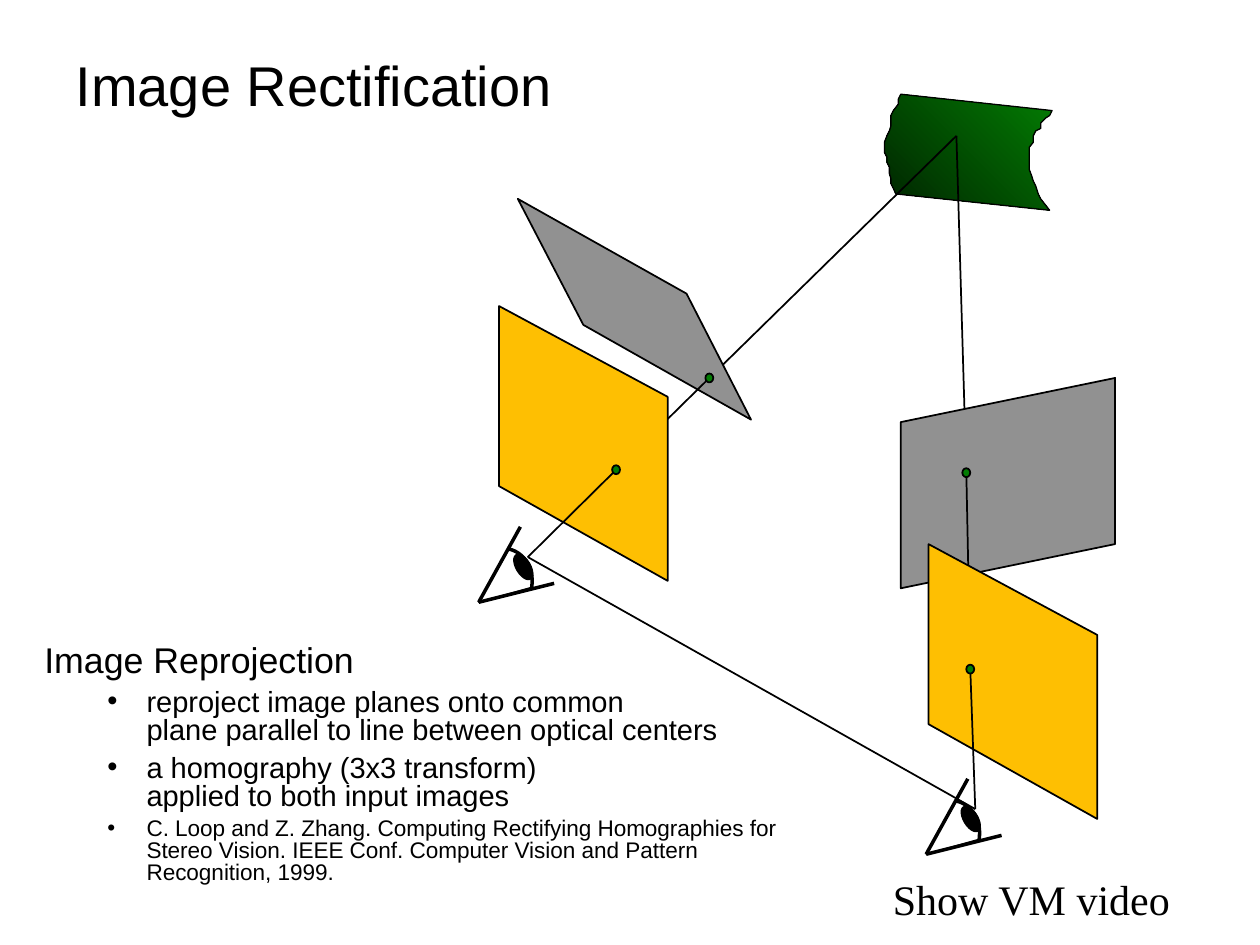
from copy import deepcopy
from lxml.etree import SubElement
from pptx import Presentation
from pptx.dml.color import RGBColor
from pptx.enum.shapes import MSO_CONNECTOR, MSO_SHAPE
from pptx.enum.text import MSO_ANCHOR, MSO_AUTO_SIZE, PP_ALIGN
from pptx.oxml.ns import qn
from pptx.util import Cm, Pt

COLORS = {"ink": "000000", "gray": "919191", "gold": "FEBF02",
          "green": "037C03", "dark": "002400"}

# Outlines in cm, each relative to the top left of its own box
SURFACE = [
    (.33, 0), (.28, .1), (.28, .2), (.18, .33), (.13, .43), (.13, .64), (.1, .74),
    (.05, .84), (0, .97), (0, 1.17), (.05, 1.27), (.05, 1.37), (.1, 1.47), (.1, 1.6),
    (.13, 1.7), (.13, 1.8), (.18, 1.9), (.23, 2.01), (3.33, 2.34), (3.15, 2.11),
    (3.1, 2.01), (3.05, 1.85), (3, 1.75), (2.97, 1.65), (2.92, 1.52), (2.92, 1.07),
    (3, .97), (3, .84), (3.05, .74), (3.15, .69), (3.15, .58), (3.25, .48),
    (3.33, .43), (3.38, .33)]
TILTED = [(1.32, 2.54), (4.7, 4.45), (3.4, 1.91), (0, 0)]
TURNED = [(0, .89), (0, 4.24), (4.32, 3.35), (4.32, 0)]
COMMON = [(0, 3.63), (3.4, 5.54), (3.4, 1.83), (0, 0)]

# Curves of the eyeball, relative to the corner of the eye
CURVES = [[(.61, -1.07), (.76, -1.04), (.89, -.94), (.99, -.79)],
          [(.99, -.79), (1.07, -.66), (1.09, -.48), (1.07, -.3)]]


def color(name):
    return RGBColor.from_string(COLORS[name])


def style(shape, fill=None, width=1):
    shape.shadow.inherit = False
    if fill:
        shape.fill.solid()
        shape.fill.fore_color.rgb = color(fill)
    else:
        shape.fill.background()
    shape.line.color.rgb = color("ink")
    shape.line.width = Pt(width)
    return shape


def outline(slide, x, y, points, fill=None, width=1, close=True):
    places = [(Cm(x + dx), Cm(y + dy)) for dx, dy in points]
    path = slide.shapes.build_freeform(*places[0], scale=1.0)
    path.add_line_segments(places[1:], close=close)
    return style(path.convert_to_shape(), fill, width)


def line(slide, start, end, width=1):
    ray = slide.shapes.add_connector(
        MSO_CONNECTOR.STRAIGHT, *[Cm(v) for v in (*start, *end)])
    ray.line.color.rgb = color("ink")
    ray.line.width = Pt(width)
    SubElement(ray._element.spPr, qn("a:effectLst"))


def oval(slide, x, y, width, height, fill):
    return style(slide.shapes.add_shape(
        MSO_SHAPE.OVAL, Cm(x), Cm(y), Cm(width), Cm(height)), fill)


def bezier(a, b, c, d, t):
    return tuple((1 - t) ** 3 * p + 3 * t * (1 - t) ** 2 * q
                 + 3 * t * t * (1 - t) * r + t ** 3 * s
                 for p, q, r, s in zip(a, b, c, d))


def write(para, text, size, font="Arial", level=0, indent=0, hang=0,
          before=0, spacing=None, bullet=False):
    para.text = text
    para.level = level
    para.alignment = PP_ALIGN.LEFT
    para.space_before = Pt(before)
    props = para._p.get_or_add_pPr()
    props.set("marL", str(Cm(indent)))
    props.set("indent", str(Cm(-hang)))
    if bullet:
        tint = SubElement(SubElement(props, qn("a:buClr")), qn("a:srgbClr"))
        tint.set("val", COLORS["ink"])
        SubElement(props, qn("a:buFont")).set("typeface", font)
        SubElement(props, qn("a:buChar")).set("char", "•")
    else:
        SubElement(props, qn("a:buNone"))
    if spacing:
        para.line_spacing = spacing
    for run in para.runs:
        run.font.size = Pt(size)
        run.font.name = font
        run.font.color.rgb = color("ink")
    # Line breaks take the same size as the words around them
    for gap in para._p.findall(qn("a:br")):
        gap.append(deepcopy(para.runs[0]._r.rPr))


def place(shape, x, y, width, height):
    shape.left, shape.top = Cm(x), Cm(y)
    shape.width, shape.height = Cm(width), Cm(height)
    shape.text_frame.auto_size = MSO_AUTO_SIZE.NONE
    return shape.text_frame


def eye(slide, x, y):
    arc = [bezier(*curve, n / 8) for curve in CURVES for n in range(9)]
    outline(slide, x, y, [(0, 0)] + arc, width=.75)
    outline(slide, x, y, arc, width=2, close=False)
    line(slide, (x + .84, y - 1.52), (x, y), 2)
    oval(slide, x + .76, y - .99, .28, .56, "ink").rotation = 329
    line(slide, (x, y), (x + 1.52, y - .38), 2)


def scene(slide, x, y):
    def at(dx, dy):
        return x + dx, y + dy

    point = at(9.63, .84)
    left, right = at(.99, 9.33), at(10.01, 14.41)
    left_far, left_near = at(4.65, 5.72), at(2.77, 7.57)
    right_far, right_near = at(9.83, 7.63), at(9.91, 11.59)

    # Surface being viewed
    surface = outline(slide, *at(8.18, 0), SURFACE, width=.75)
    surface.fill.gradient()
    surface.fill.gradient_angle = 225
    for stop, name in zip(surface.fill.gradient_stops, ("green", "dark")):
        stop.color.rgb = color(name)

    # Image planes and the rays passing through them
    line(slide, left, right)
    line(slide, left_far, point)
    outline(slide, *at(.79, 2.11), TILTED, "gray")
    line(slide, right_far, point)
    line(slide, left_near, left_far)
    outline(slide, *at(.41, 4.27), COMMON, "gold")
    outline(slide, *at(8.51, 5.72), TURNED, "gray")
    line(slide, right_near, right_far)
    outline(slide, *at(9.07, 9.07), COMMON, "gold")
    line(slide, left, left_near)
    line(slide, right, right_near)

    # Points where rays meet planes
    for px, py in (right_near, left_near, right_far, left_far):
        oval(slide, px - .08, py - .09, .16, .18, "green")

    # Optical centers
    for corner in (at(0, 10.24), at(9.02, 15.32)):
        eye(slide, *corner)


def heading(slide, x, y, width, height):
    frame = place(slide.shapes.title, x, y, width, height)
    frame.vertical_anchor = MSO_ANCHOR.MIDDLE
    write(frame.paragraphs[0], "Image Rectification", 32)


def notes(slide, x, y, width, height):
    frame = place(slide.placeholders[1], x, y, width, height)
    write(frame.paragraphs[0], "Image Reprojection", 20.4,
          indent=.97, hang=.97, spacing=.8)
    items = [
        ("reproject image planes onto common\n"
         "plane parallel to line between optical centers", 16.6, 5.6),
        ("a homography (3x3 transform)\napplied to both input images", 16.6, 5.6),
        ("C. Loop and Z. Zhang. Computing Rectifying Homographies for Stereo "
         "Vision. IEEE Conf. Computer Vision and Pattern Recognition, 1999.",
         12.9, 4.4)]
    for text, size, before in items:
        write(frame.add_paragraph(), text, size, level=1, indent=2.06, hang=.79,
              before=before, spacing=.8, bullet=True)


def label(slide, x, y, width, height):
    box = slide.shapes.add_textbox(Cm(x), Cm(y), Cm(width), Cm(height))
    box.text_frame.word_wrap = False
    write(box.text_frame.paragraphs[0], "Show VM video", 24, font="Times New Roman")


def main():
    deck = Presentation()
    deck.slide_width, deck.slide_height = Cm(25.4), Cm(19.05)
    slide = deck.slides.add_slide(deck.slide_layouts[1])
    scene(slide, 9.65, 1.9)
    heading(slide, 1.27, .43, 22.86, 2.54)
    notes(slide, .64, 12.9, 16.08, 5.28)
    label(slide, 17.75, 17.48, 6.1, 1.27)
    deck.save("out.pptx")


if __name__ == "__main__":
    main()
